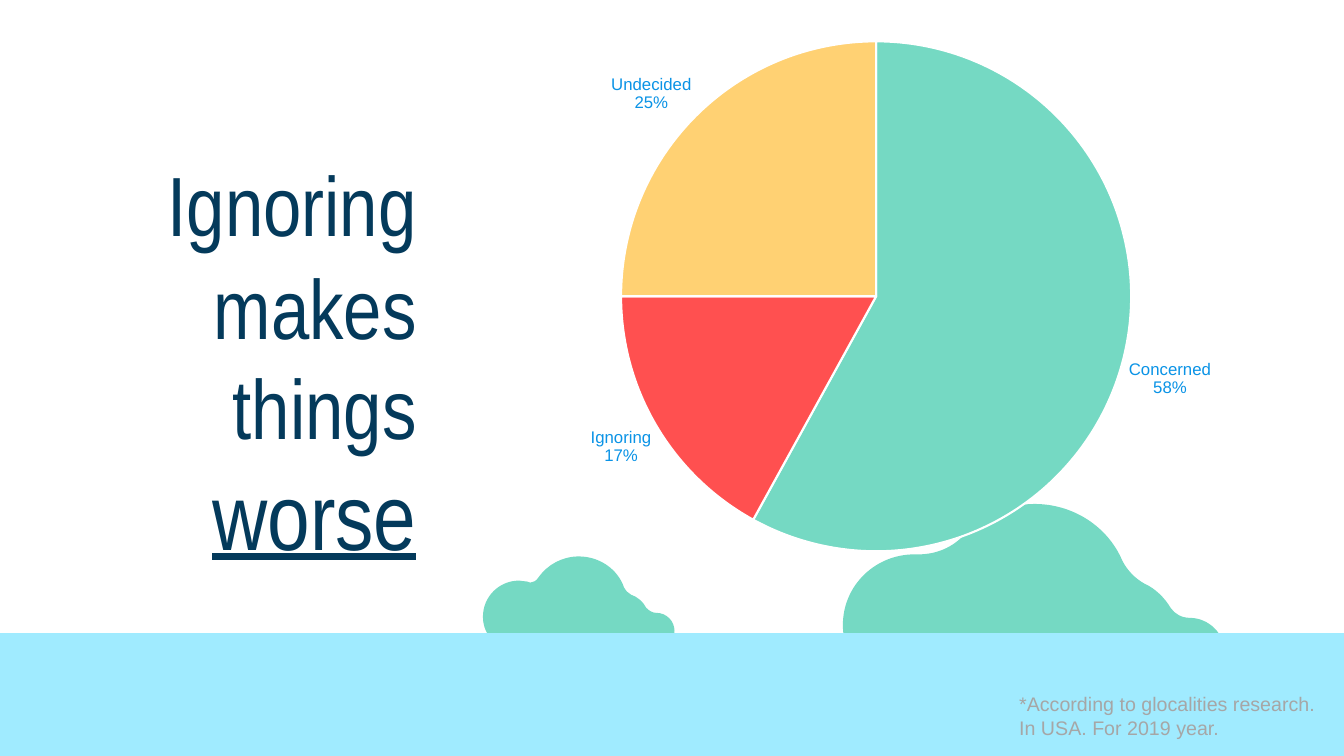
from lxml import etree
from pptx import Presentation
from pptx.chart.data import CategoryChartData as ChartData
from pptx.dml.color import RGBColor as Rgb
from pptx.enum.chart import XL_CHART_TYPE as Kind, XL_LABEL_POSITION as Spot
from pptx.enum.shapes import MSO_SHAPE as Preset
from pptx.enum.text import MSO_ANCHOR as Anchor, PP_ALIGN as Align
from pptx.oxml.ns import qn
from pptx.util import Emu, Pt

PX = 9144  # 100 px to the inch
HUES = {"mint": "75D9C3", "red": "FF5050", "sand": "FFD173", "sea": "A0EBFF",
        "navy": "043A5B", "blue": "0A93E6", "gray": "A6A6A6", "white": "FFFFFF"}

# Cloud outlines: a start point, then one cubic curve per row
SMALL = [
    (95, 0),
    (79, 0), (64, 8), (55, 21),
    (53, 24), (50, 26), (47, 26),
    (46, 26), (45, 26), (44, 25),
    (41, 25), (38, 24), (36, 24),
    (16, 24), (0, 40), (0, 60),
    (0, 79), (16, 95), (36, 95),
    (43, 95), (51, 92), (57, 88),
    (59, 86), (61, 85), (63, 85),
    (65, 85), (67, 86), (69, 87),
    (77, 92), (86, 95), (95, 95),
    (100, 95), (105, 94), (110, 93),
    (111, 92), (112, 92), (113, 92),
    (115, 92), (117, 93), (119, 94),
    (124, 97), (129, 98), (135, 98),
    (143, 98), (150, 96), (155, 91),
    (157, 90), (160, 89), (162, 89),
    (163, 89), (165, 89), (166, 89),
    (168, 90), (170, 91), (172, 91),
    (182, 91), (190, 83), (190, 74),
    (190, 64), (182, 56), (172, 56),
    (168, 56), (165, 54), (162, 51),
    (159, 45), (153, 40), (147, 38),
    (144, 36), (141, 34), (140, 31),
    (134, 13), (116, 0), (95, 0),
]
LARGE = [
    (190, 0),
    (163, 0), (138, 12), (121, 30),
    (109, 43), (93, 50), (75, 50),
    (75, 50), (74, 50), (73, 50),
    (72, 50), (72, 50), (71, 50),
    (32, 50), (0, 81), (0, 120),
    (0, 159), (32, 190), (71, 190),
    (93, 190), (112, 180), (125, 165),
    (142, 181), (165, 191), (190, 191),
    (204, 191), (218, 188), (229, 182),
    (240, 192), (255, 197), (270, 197),
    (291, 197), (309, 188), (320, 173),
    (327, 179), (335, 182), (344, 182),
    (363, 182), (379, 167), (379, 148),
    (379, 129), (363, 113), (344, 113),
    (336, 113), (329, 109), (325, 103),
    (319, 93), (310, 84), (299, 79),
    (290, 74), (282, 66), (277, 56),
    (263, 23), (229, 0), (190, 0),
]
SLICES = [("Concerned", 58, "mint"), ("Ignoring", 17, "red"), ("Undecided", 25, "sand")]


def emu(*nums):
    return [Emu(round(n * PX)) for n in nums]


def hue(name):
    return Rgb.from_string(HUES[name])


def paint(shape, name):
    shape.fill.solid()
    shape.fill.fore_color.rgb = hue(name)
    shape.line.fill.background()
    shape.shadow.inherit = False


def style(font, size, name, face="Arial"):
    font.size, font.name = Pt(size), face
    font.color.rgb = hue(name)


def add_cloud(slide, left, top, knots):
    pen = slide.shapes.build_freeform(*knots[0], scale=PX)
    pen.add_line_segments(knots[3::3], close=True)
    cloud = pen.convert_to_shape(*emu(left, top))
    paint(cloud, "mint")
    # Bend each straight side into its cubic curve
    for i, side in enumerate(list(cloud._element.iter(qn("a:lnTo")))):
        bend = etree.Element(qn("a:cubicBezTo"))
        for x, y in knots[3 * i + 1:3 * i + 4]:
            etree.SubElement(bend, qn("a:pt"), x=str(x), y=str(y))
        side.getparent().replace(side, bend)


def add_scene(slide, left, top, width, height):
    add_cloud(slide, left + 479, top + 552, SMALL)
    add_cloud(slide, left + 836, top + 500, LARGE)
    sea = slide.shapes.add_shape(Preset.RECTANGLE, *emu(left, top + 628, width, height - 628))
    paint(sea, "sea")


def add_text(slide, box, inset, align, runs):
    frame = slide.shapes.add_textbox(*emu(*box)).text_frame
    frame.word_wrap = True
    frame.vertical_anchor = Anchor.TOP
    frame.margin_left, frame.margin_top, frame.margin_right, frame.margin_bottom = emu(*inset)
    para = frame.paragraphs[0]
    para.alignment = align
    for text, size, name, face, under in runs:
        run = para.add_run()
        run.text = text
        style(run.font, size, name, face)
        if under:
            run.font.underline = True


def add_title(slide, *box):
    look = ("navy", "Arial Narrow")
    add_text(slide, box, (10, 10, 10, 10), Align.RIGHT, [
        ("Ignoring", 60, *look, False),
        (" ", 66.7, *look, False),
        ("makes things ", 60, *look, False),
        ("worse", 66.7, *look, True),
    ])


def add_note(slide, *box):
    add_text(slide, box, (10, 5, 10, 5), Align.LEFT, [
        ("*According to glocalities research. In USA. For 2019 year.",
         14, "gray", "Arial", False),
    ])


def add_pie(slide, left, top, width, height):
    data = ChartData()
    data.categories = [name for name, _, _ in SLICES]
    data.add_series("Series 1", [value / 100 for _, value, _ in SLICES])
    data = ChartData()
    data.categories = [name for name, _, _ in SLICES]
    data.add_series("Series 1", [value for _, value, _ in SLICES])
    chart = slide.shapes.add_chart(Kind.PIE, *emu(left, top, width, height), data).chart
    chart.has_legend = chart.has_title = False
    style(chart.font, 10, "navy")
    plot = chart.plots[0]
    plot.vary_by_categories = True
    for i, (_, _, name) in enumerate(SLICES):
        form = plot.series[0].points[i].format
        form.fill.solid()
        form.fill.fore_color.rgb = hue(name)
        form.line.color.rgb = hue("white")
        form.line.width = Pt(1.5)

    # Name and share outside each slice, on two lines
    tags = plot.series[0].data_labels
    tags.show_category_name = tags.show_percentage = True
    tags.show_value = False
    tags.number_format, tags.number_format_is_linked = "0%", False
    tags.position = Spot.OUTSIDE_END
    style(tags.font, 12, "blue")
    mark = etree.Element(qn("c:separator"))
    mark.text = "\n"
    tags._element.find(qn("c:showBubbleSize")).addnext(mark)

    # Fixed place of the pie within its frame
    area = chart._chartSpace.find(".//" + qn("c:plotArea"))
    for old in area.findall(qn("c:layout")):
        area.remove(old)
    layout = etree.Element(qn("c:layout"))
    area.insert(0, layout)
    hold = etree.SubElement(layout, qn("c:manualLayout"))
    for key, val in [("layoutTarget", "inner"), ("xMode", "edge"), ("yMode", "edge"),
                     ("x", 135 / width), ("y", 19 / height),
                     ("w", 506 / width), ("h", 506 / height)]:
        etree.SubElement(hold, qn("c:" + key)).set("val", str(val))


def main():
    deck = Presentation()
    deck.slide_width, deck.slide_height = emu(1333, 750)
    slide = deck.slides.add_slide(deck.slide_layouts[6])
    add_scene(slide, 0, 0, 1333, 750)
    add_title(slide, 105, 132, 318, 544)
    add_pie(slide, 481, 22, 809, 539)
    add_note(slide, 1001, 682, 318, 57)
    deck.save("out.pptx")


if __name__ == "__main__":
    main()
